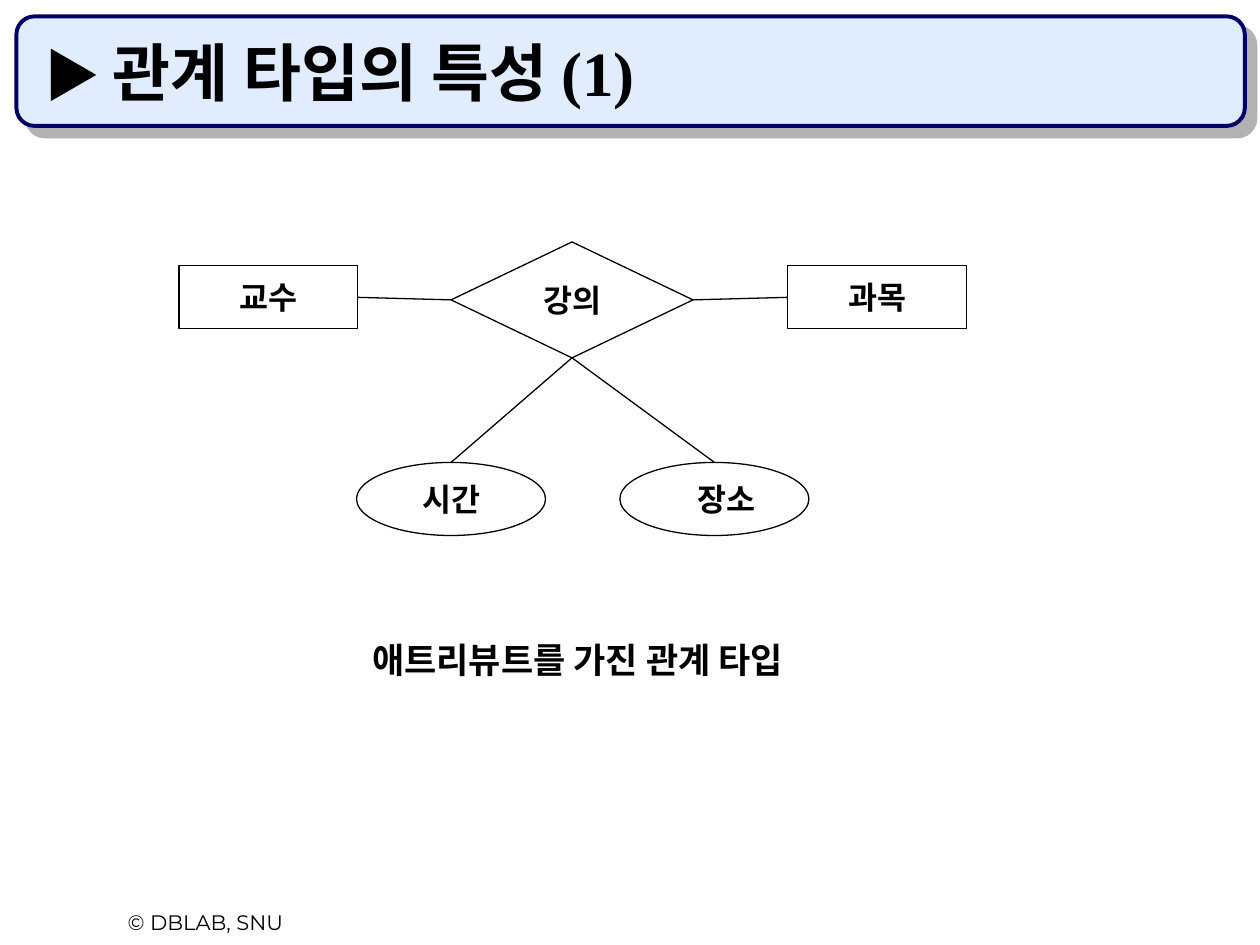
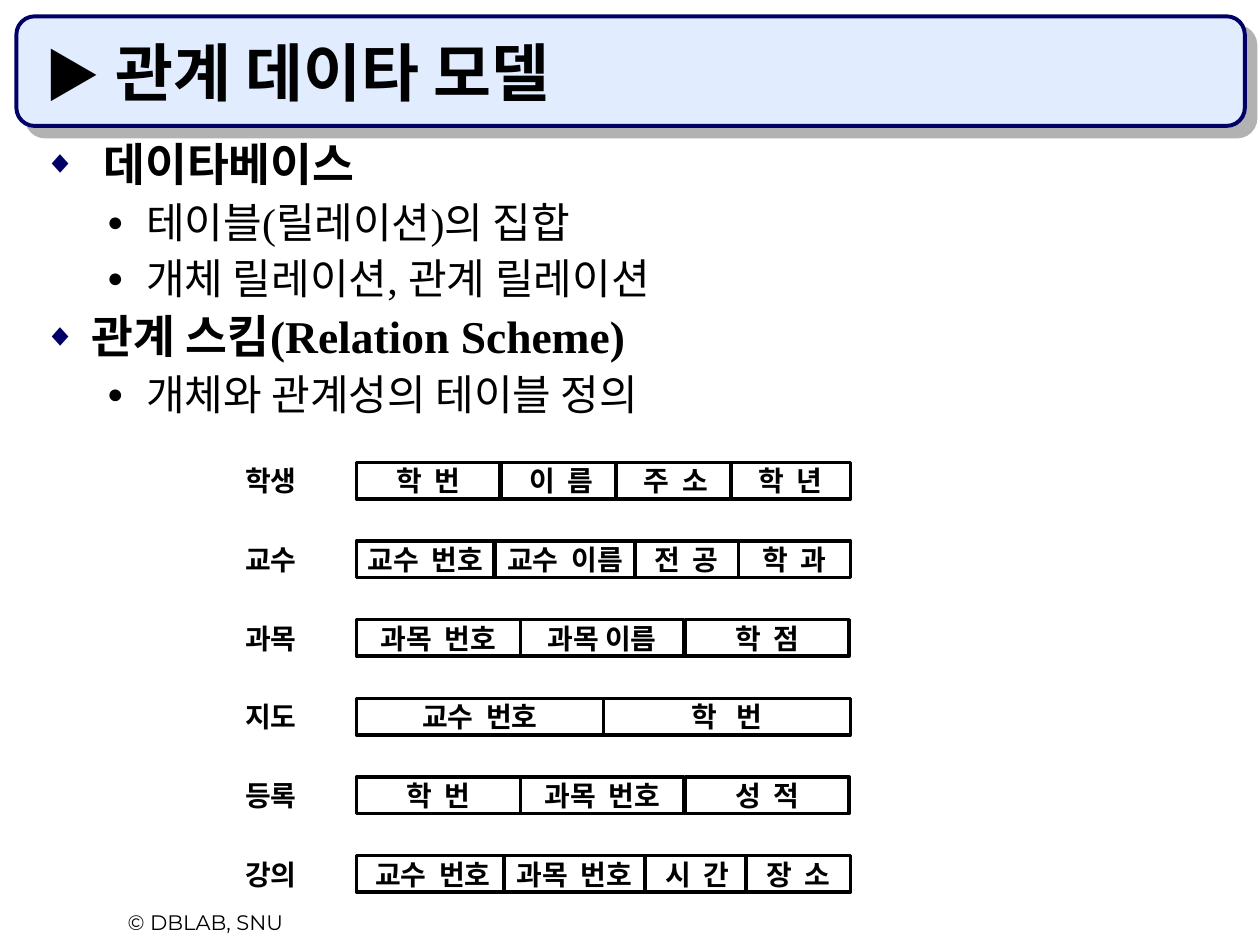
"""Build two slides on relationship types and the relational data model."""
from lxml import etree
from pptx import Presentation
from pptx.dml.color import RGBColor
from pptx.enum import shapes, text
from pptx.oxml import ns
from pptx.util import Inches, Pt

COLORS = {"ink": "000000", "navy": "000066", "band": "E1ECFF",
          "shade": "B2B2B2", "paper": "FFFFFF"}
SERIF, KOREAN, FOOTER_FONT = "Times New Roman", "Noto Sans CJK KR", "Montserrat"
FOOTER = "© DBLAB, SNU"
KINDS = shapes.MSO_SHAPE

DIAGRAM_TITLE = [("▶ ", 32, SERIF), ("관계 타입의 특성 ", 36, KOREAN), ("(1)", 36, SERIF)]
MODEL_TITLE = [("▶", 32, SERIF), (" ", 38, SERIF), ("관계 데이타 모델", 36, SERIF)]

NODES = {
    "교수": (KINDS.RECTANGLE, (1.42, 2.11, 1.42, 0.5)),
    "과목": (KINDS.RECTANGLE, (6.25, 2.11, 1.42, 0.5)),
    "시간": (KINDS.OVAL, (2.83, 3.67, 1.5, 0.58)),
    "장소": (KINDS.OVAL, (4.92, 3.67, 1.5, 0.58)),
    "강의": (KINDS.DIAMOND, (3.58, 1.92, 1.92, 0.92)),
}
TOP, LEFT, BOTTOM, RIGHT = range(4)
LINKS = [("강의", BOTTOM, "시간", TOP), ("강의", BOTTOM, "장소", TOP),
         ("강의", LEFT, "교수", RIGHT), ("강의", RIGHT, "과목", LEFT)]
CAPTION = "애트리뷰트를 가진 관계 타입"

OUTLINE = [
    (0, "데이타베이스", 0.47),
    (1, "테이블(릴레이션)의 집합", 0.81),
    (1, "개체 릴레이션, 관계 릴레이션", 0.81),
    (0, "관계 스킴(Relation Scheme)", 0.38),
    (1, "개체와 관계성의 테이블 정의", 0.81),
]
LEVELS = [
    {"bullet": "◆", "color": "navy", "percent": 70, "hang": 0.38, "size": 26, "before": 6.5},
    {"bullet": "●", "color": "ink", "percent": 65, "hang": 0.31, "size": 24, "before": 6},
]

RELATIONS = [
    ("학생", [("학  번", 2.83, 1.14), ("이  름", 3.98, 0.95),
            ("주  소", 4.89, 0.95), ("학  년", 5.8, 0.95)]),
    ("교수", [("전  공", 5, 0.89), ("학  과", 5.86, 0.89),
            ("교수  번호", 2.83, 1.09), ("교수  이름", 3.93, 1.11)]),
    ("과목", [("과목  번호", 2.83, 1.3), ("과목 이름", 4.13, 1.3), ("학  점", 5.44, 1.3)]),
    ("지도", [("교수  번호", 2.83, 1.96), ("학   번", 4.79, 1.96)]),
    ("등록", [("학  번", 2.83, 1.3), ("과목  번호", 4.13, 1.3), ("성  적", 5.44, 1.3)]),
    ("강의", [("교수  번호", 2.83, 1.21), ("과목  번호", 4, 1.12),
            ("시  간", 5.12, 0.83), ("장  소", 5.92, 0.83)]),
]
FIRST_ROW, LAST_ROW, ROW_HEIGHT = 3.67, 6.79, 0.29
NAME_LEFT, NAME_WIDTH = 1.58, 1.14


def color(name):
    return RGBColor.from_string(COLORS[name])


def add(parent, tag, **attributes):
    return etree.SubElement(parent, ns.qn(tag), attributes)


def inches(place):
    return [Inches(value) for value in place]


def style(span, size, font, bold=True):
    span.font.size, span.font.bold, span.font.name = Pt(size), bold, font
    span.font.color.rgb = color("ink")
    add(span.font._element, "a:ea", typeface=KOREAN)


def write(para, words, size, font, bold=True):
    para.text = words
    para.alignment = text.PP_ALIGN.CENTER
    style(para.runs[0], size, font, bold)


def place(holder, area):
    holder.left, holder.top, holder.width, holder.height = inches(area)
    holder.text_frame.auto_size = text.MSO_AUTO_SIZE.NONE


def add_box(parent, kind, area, fill=None, line="ink", weight=0.75):
    box = parent.add_shape(kind, *inches(area))
    box.shadow.inherit = False
    if fill:
        box.fill.solid()
        box.fill.fore_color.rgb = color(fill)
    else:
        box.fill.background()
    box.line.color.rgb = color(line)
    box.line.width = Pt(weight)
    return box


def label(box, words, size, font):
    frame = box.text_frame
    frame.word_wrap = False
    frame.vertical_anchor = text.MSO_ANCHOR.MIDDLE
    write(frame.paragraphs[0], words, size, font)


def add_textbox(page, area, words, size, font, bold):
    box = page.shapes.add_textbox(*inches(area))
    box.text_frame.word_wrap = True
    write(box.text_frame.paragraphs[0], words, size, font, bold)


def start_page(deck, layout, title):
    page = deck.slides.add_slide(deck.slide_layouts.get_by_name(layout))
    band = add_box(page.shapes, KINDS.ROUNDED_RECTANGLE, (0.13, 0.13, 9.75, 0.87),
                   "band", "navy", 2.25)
    page.shapes._spTree.insert(2, band._element)
    effects = band._element.spPr.find(ns.qn("a:effectLst"))
    shadow = add(effects, "a:outerShdw", blurRad="0", dist=str(Pt(8.5)),
                 dir="2700000", algn="ctr", rotWithShape="0")
    add(shadow, "a:srgbClr", val=COLORS["shade"])
    add_textbox(page, (0.42, 7.17, 2.42, 0.3), FOOTER, 12, FOOTER_FONT, False)

    heading = page.shapes.title
    place(heading, (0.25, 0.25, 9.42, 0.67))
    heading.text_frame.vertical_anchor = text.MSO_ANCHOR.BOTTOM
    para = heading.text_frame.paragraphs[0]
    para.alignment = text.PP_ALIGN.LEFT
    for words, size, font in title:
        span = para.add_run()
        span.text = words
        style(span, size, font)
    return page


def build_diagram(deck):
    page = start_page(deck, "Title Only", DIAGRAM_TITLE)
    nodes = {}
    for name, (kind, area) in NODES.items():
        nodes[name] = add_box(page.shapes, kind, area)
        label(nodes[name], name, 18, SERIF)
    nodes["장소"].text_frame.margin_left = Inches(0.29)
    for start, start_side, end, end_side in LINKS:
        link = page.shapes.add_connector(shapes.MSO_CONNECTOR.STRAIGHT, 0, 0, 0, 0)
        link.begin_connect(nodes[start], start_side)
        link.end_connect(nodes[end], end_side)
        link.line.color.rgb = color("ink")
        link.line.width = Pt(0.75)
        add(link._element.spPr, "a:effectLst")
    add_textbox(page, (2.25, 5.02, 4.67, 0.44), CAPTION, 20, SERIF, True)


def fill_outline(body):
    place(body, (0.25, 1.08, 9.42, 5.83))
    frame = body.text_frame
    for index, (depth, words, indent) in enumerate(OUTLINE):
        para = frame.add_paragraph() if index else frame.paragraphs[0]
        level = LEVELS[depth]
        para.text, para.level, para.line_spacing = words, depth, 0.9
        para.space_before = Pt(level["before"] if index else 0)
        props = para._p.get_or_add_pPr()
        props.set("marL", str(Inches(indent)))
        props.set("indent", str(-Inches(indent if depth == 0 else level["hang"])))
        add(add(props, "a:buClr"), "a:srgbClr", val=COLORS[level["color"]])
        add(props, "a:buSzPct", val=str(level["percent"] * 1000))
        add(props, "a:buFont", typeface=SERIF)
        add(props, "a:buChar", char=level["bullet"])
        style(para.runs[0], level["size"], SERIF, depth == 0)


def build_model(deck):
    page = start_page(deck, "Title and Content", MODEL_TITLE)
    fill_outline(page.placeholders[1])
    scheme = page.shapes.add_group_shape().shapes
    pitch = (LAST_ROW - FIRST_ROW) / (len(RELATIONS) - 1)
    for row, (name, fields) in enumerate(RELATIONS):
        top = FIRST_ROW + row * pitch
        cells = [(name, NAME_LEFT, NAME_WIDTH, "paper")]
        cells += [(*field, "ink") for field in fields]
        for words, left, width, line in cells:
            box = add_box(scheme, KINDS.RECTANGLE, (left, top, width, ROW_HEIGHT),
                          "paper", line, 2)
            label(box, words, 16, KOREAN)


def main():
    deck = Presentation()
    deck.slide_width, deck.slide_height = Inches(10), Inches(7.5)
    build_diagram(deck)
    build_model(deck)
    deck.save("out.pptx")


if __name__ == "__main__":
    main()
